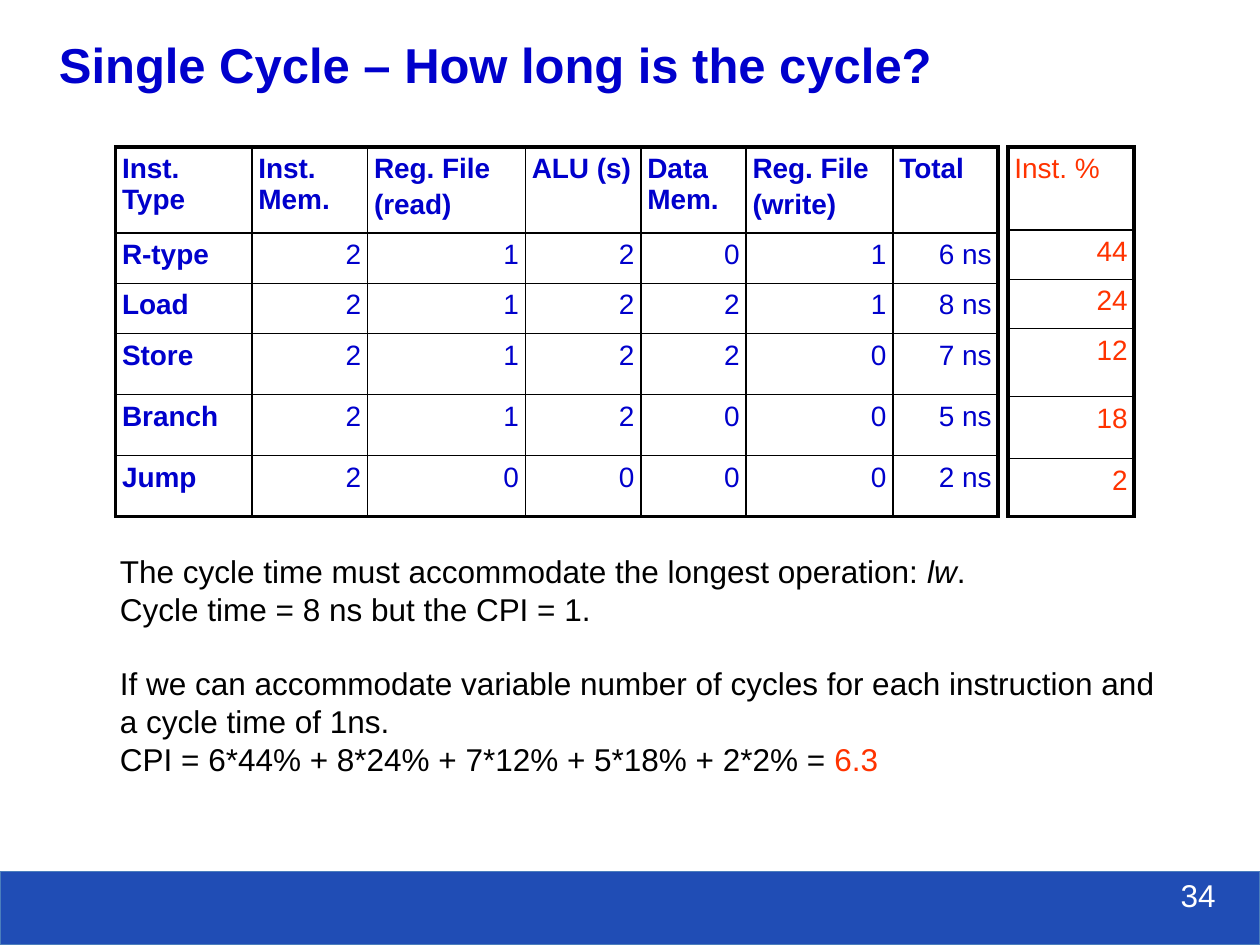
from pptx import Presentation
from pptx.dml.color import RGBColor
from pptx.enum.shapes import MSO_SHAPE
from pptx.enum.text import MSO_ANCHOR as Anchor, PP_ALIGN as Align
from pptx.oxml import parse_xml
from pptx.oxml.ns import nsdecls
from pptx.util import Cm, Pt

BLUE = RGBColor(0x00, 0x00, 0xCC)
RED = RGBColor(0xFF, 0x33, 0x00)
BLACK = RGBColor(0x00, 0x00, 0x00)
WHITE = RGBColor(0xFF, 0xFF, 0xFF)
BAND = RGBColor(0x20, 0x4D, 0xB5)
BAND_LINE = RGBColor(0x4B, 0x7E, 0xBC)
THICK, THIN = 2.25, 1
INSET = Cm(0.13)


class Deck:
    """Holds the style and the current slide."""

    def __init__(self, prs, font="Arial"):
        self.font = font
        self.s = prs.slides.add_slide(prs.slide_layouts[6])

    def run(self, p, text, size, color, bold=False, italic=False):
        r = p.add_run()
        r.text = text
        f = r.font
        f.name, f.size, f.bold, f.italic = self.font, Pt(size), bold, italic
        f.color.rgb = color

    def band(self, x, y, w, h):
        sp = self.s.shapes.add_shape(MSO_SHAPE.RECTANGLE, Cm(x), Cm(y), Cm(w), Cm(h))
        sp.shadow.inherit = False
        sp.fill.solid()
        sp.fill.fore_color.rgb = BAND
        sp.line.color.rgb = BAND_LINE
        sp.line.width = Pt(0.75)

    def text(self, x, y, w, h, paragraphs, size, anchor=Anchor.TOP):
        """paragraphs: list of (space before in points, [(text, color, bold, italic)])."""
        tf = self.s.shapes.add_textbox(Cm(x), Cm(y), Cm(w), Cm(h)).text_frame
        tf.word_wrap = True
        tf.vertical_anchor = anchor
        tf.margin_left = tf.margin_right = tf.margin_top = tf.margin_bottom = INSET
        for i, (before, runs) in enumerate(paragraphs):
            p = tf.add_paragraph() if i else tf.paragraphs[0]
            p.space_before = Pt(before)
            for text, *style in runs:
                self.run(p, text, size, *style)

    def borders(self, cell, widths):
        tc_pr = cell._tc.get_or_add_tcPr()
        for i, (side, width) in enumerate(widths.items()):
            tc_pr.insert(i, parse_xml(
                f'<a:ln{side} {nsdecls("a")} w="{Pt(width)}"><a:solidFill>'
                f'<a:srgbClr val="{BLACK}"/></a:solidFill></a:ln{side}>'))

    def table(self, x, y, cols, rows, data, color, bold_head, bold_first, size=16):
        frame = self.s.shapes.add_table(len(rows), len(cols), Cm(x), Cm(y),
                                        Cm(sum(cols)), Cm(sum(rows)))
        tbl = frame.table
        tbl.first_row = tbl.horz_banding = False
        for col, w in zip(tbl.columns, cols):
            col.width = Cm(w)
        for row, h in zip(tbl.rows, rows):
            row.height = Cm(h)
        last_row, last_col = len(rows) - 1, len(cols) - 1
        for i, values in enumerate(data):
            for j, value in enumerate(values):
                cell = tbl.cell(i, j)
                cell.fill.background()
                cell.margin_left = cell.margin_right = INSET
                cell.margin_top = cell.margin_bottom = INSET
                label = i == 0 or (bold_first and j == 0)
                bold = bold_head if i == 0 else label
                for k, line in enumerate(value.split("\n")):
                    tf = cell.text_frame
                    p = tf.add_paragraph() if k else tf.paragraphs[0]
                    p.space_before = Pt(3 if k else 0)
                    p.alignment = Align.LEFT if label else Align.RIGHT
                    self.run(p, line, size, color, bold)
                # Heavy frame outside, fine grid inside
                self.borders(cell, {
                    "L": THICK if j == 0 else THIN,
                    "R": THICK if j == last_col else THIN,
                    "T": THICK if i == 0 else THIN,
                    "B": THICK if i == last_row else THIN})


def main():
    prs = Presentation()
    prs.slide_width, prs.slide_height = Cm(25.4), Cm(19.05)
    deck = Deck(prs)

    # Footer band and page number
    deck.band(0, 17.57, 25.4, 1.48)
    deck.text(23.67, 17.53, 1, 0.96, [(0, [("34", WHITE)])], 18)

    # Title
    deck.text(1.06, 0.44, 21.16, 1.7,
              [(0, [("Single Cycle – How long is the cycle?", BLUE, True)])],
              28, Anchor.MIDDLE)

    # Time per instruction type
    times = [
        ["Inst. Type", "Inst. Mem.", "Reg. File\n(read)", "ALU (s)",
         "Data Mem.", "Reg. File\n(write)", "Total"],
        ["R-type", "2", "1", "2", "0", "1", "6 ns"],
        ["Load", "2", "1", "2", "2", "1", "8 ns"],
        ["Store", "2", "1", "2", "2", "0", "7 ns"],
        ["Branch", "2", "1", "2", "0", "0", "5 ns"],
        ["Jump", "2", "0", "0", "0", "0", "2 ns"],
    ]
    deck.table(2.33, 2.96, [2.75, 2.33, 3.18, 2.33, 2.12, 2.96, 2.12],
               [1.74, 1.01, 1.01, 1.23, 1.23, 1.23], times, BLUE, True, True)

    # Conclusions
    deck.text(2.29, 11, 21.64, 5.64, [
        (0, [("The cycle time must accommodate the longest operation: ", BLACK),
             ("lw", BLACK, False, True), (".", BLACK)]),
        (0, [("Cycle time = 8 ns but the CPI = 1.", BLACK)]),
        (21, [("If we can accommodate variable number of cycles for each "
               "instruction and a cycle time of 1ns.", BLACK)]),
        (0, [("CPI = 6*44% + 8*24% + 7*12% + 5*18% + 2*2% = ", BLACK),
             ("6.3", RED)]),
    ], 18)

    # Instruction mix
    mix = [[v] for v in ("Inst. %", "44", "24", "12", "18", "2")]
    deck.table(20.32, 2.96, [2.54], [1.68, 0.99, 0.99, 1.37, 1.25, 1.17],
               mix, RED, False, False)

    prs.save("out.pptx")


if __name__ == "__main__":
    main()
